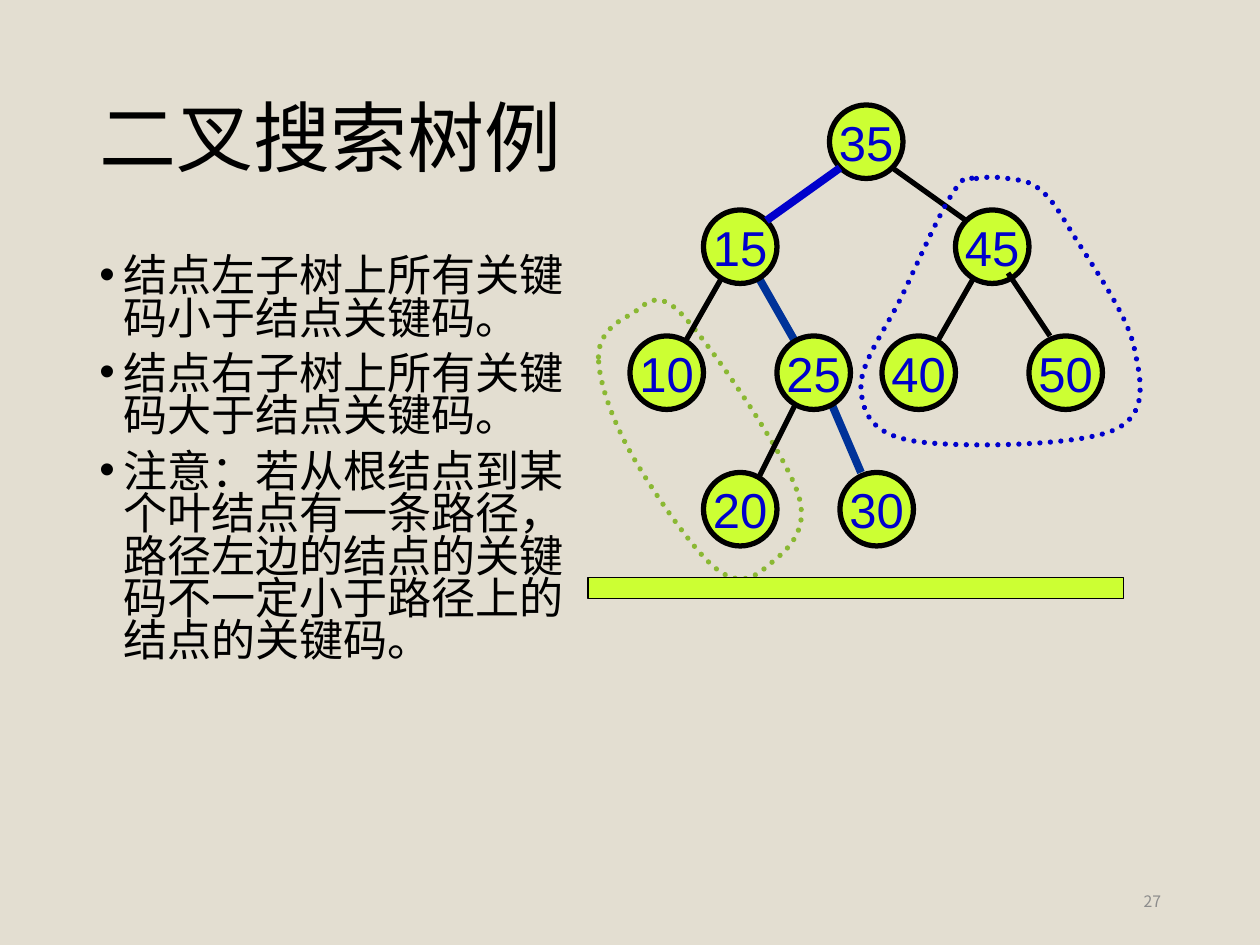
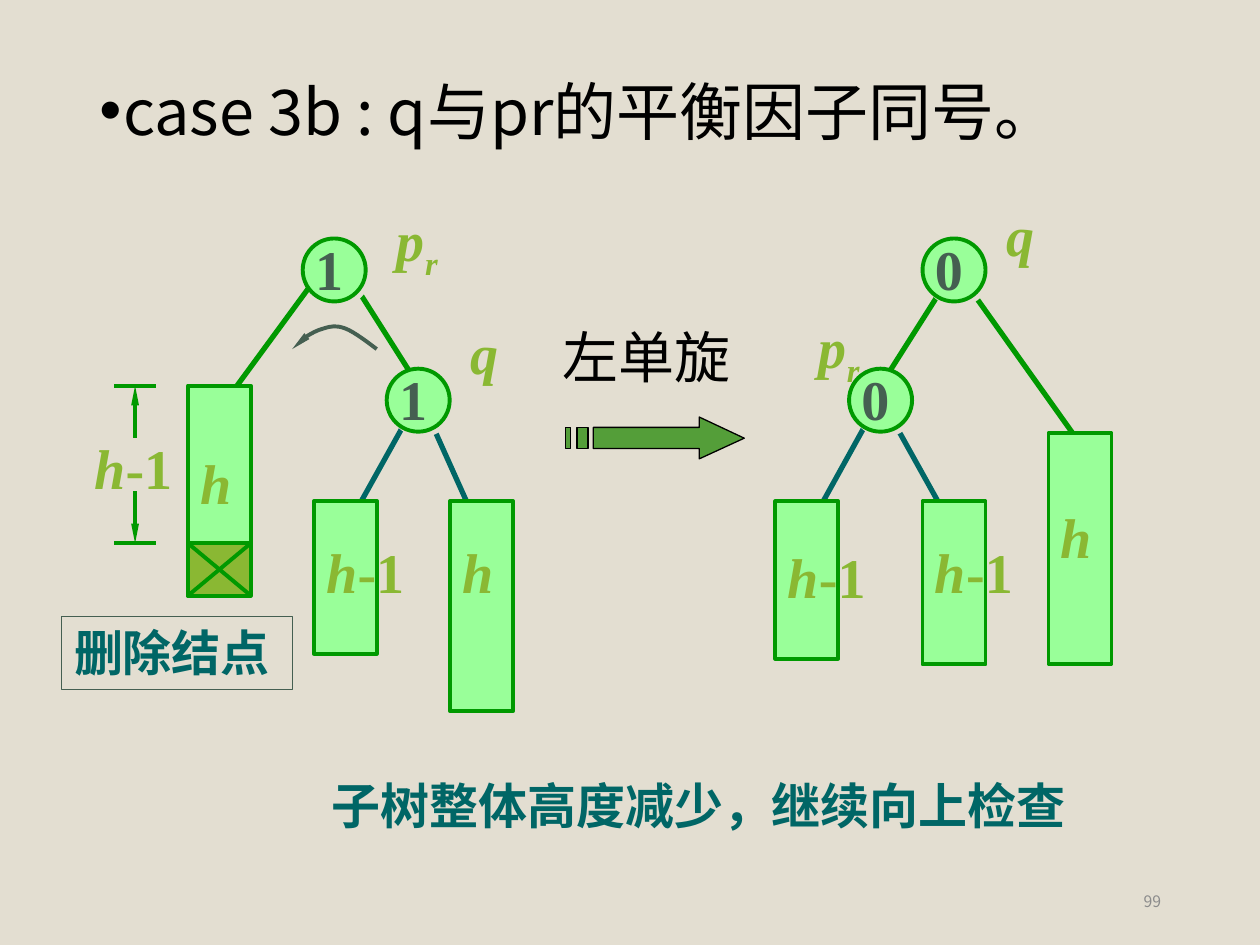
"""Builds two slides on binary search trees and an AVL single left rotation."""
from lxml import etree
from pptx import Presentation
from pptx.dml.color import RGBColor
from pptx.enum.dml import MSO_LINE
from pptx.enum.shapes import MSO_CONNECTOR, MSO_SHAPE
from pptx.enum.text import MSO_ANCHOR, MSO_AUTO_SIZE, PP_ALIGN
from pptx.oxml.ns import qn
from pptx.util import Pt

STRAIGHT = MSO_CONNECTOR.STRAIGHT
OVAL, RECT = MSO_SHAPE.OVAL, MSO_SHAPE.RECTANGLE
MIDDLE, TOP = MSO_ANCHOR.MIDDLE, MSO_ANCHOR.TOP
LEFT, CENTER, RIGHT = PP_ALIGN.LEFT, PP_ALIGN.CENTER, PP_ALIGN.RIGHT
NO_FIT, ROUND_DOT = MSO_AUTO_SIZE.NONE, MSO_LINE.ROUND_DOT

SANS, SERIF, ARIAL = "Noto Sans CJK SC", "Times New Roman", "Arial"
BACKGROUND, BLACK, GRAY = "E3DED1", "000000", "8C8C8C"
LIME, BLUE, NAVY, OLIVE = "CCFF33", "0000CC", "003399", "8AB833"
MINT, GREEN, TEAL, SLATE, LEAF = "99FF99", "009900", "006666", "455F51", "549E39"

MARGIN, CONTENT_WIDTH = 49.6, 621
SEARCH_TITLE = "二叉搜索树例"
SEARCH_RULES = [
    "结点左子树上所有关键码小于结点关键码。",
    "结点右子树上所有关键码大于结点关键码。",
    "注意：若从根结点到某个叶结点有一条路径，路径左边的结点的关键码不一定小于路径上的结点的关键码。",
]
KEY_SIZE = 42
KEYS = {
    "35": (474, 60), "15": (402, 120), "45": (546, 120),
    "50": (588, 192), "40": (504, 192), "25": (444, 192),
    "10": (360, 192), "20": (402, 270), "30": (480, 270),
}
EDGES_BEHIND = [
    ((558, 156), (534, 198), BLACK, 3), ((474, 228), (492, 270), NAVY, 4.5),
    ((456, 228), (432, 276), BLACK, 3), ((414, 156), (390, 198), BLACK, 3),
    ((432, 156), (456, 198), NAVY, 4.5),
]
EDGES_IN_FRONT = [
    ((480, 96), (438, 126), BLUE, 4.5), ((510, 96), (552, 126), BLACK, 3),
    ((576, 156), (600, 192), BLACK, 3),
]
LEFT_OF_PATH = [
    (342, 204), (342, 191), (352, 184), (360, 180), (368, 176), (374, 163),
    (390, 180), (406, 197), (448, 258), (456, 282), (464, 306), (446, 317),
    (438, 324), (430, 331), (421, 335), (408, 324), (395, 313), (371, 278),
    (360, 258), (349, 238), (342, 217), (342, 204),
]
RIGHT_OF_PATH = [
    (558, 102), (563, 101), (570, 101), (576, 102), (582, 103), (588, 103),
    (594, 108), (600, 113), (603, 117), (612, 132), (621, 147), (644, 179),
    (648, 198), (652, 217), (657, 237), (636, 246), (615, 255), (546, 256),
    (522, 252), (498, 248), (493, 236), (492, 222), (491, 208), (507, 187),
    (516, 168), (525, 149), (538, 119), (546, 108), (554, 97), (553, 103),
    (558, 102),
]

CASE = "case 3b : q与pr的平衡因子同号。"
CONCLUSION = "子树整体高度减少，继续向上检查"
UPRIGHT, ITALIC, SUBSCRIPT = "upright", "italic", "subscript"
H = 30, [("h", ITALIC)]
H_MINUS_1 = 60, [("h", ITALIC), ("-1", UPRIGHT)]
P_R = 47.5, [("p", ITALIC), ("r", SUBSCRIPT)]
Q = 37.5, [("q", ITALIC)]
BAR_WIDTH = BALANCE_SIZE = 36
BALANCES = [("1", 173, 136.3), ("1", 221, 210.7), ("0", 527.2, 136.3), ("0", 485.2, 210.7)]
SUBTREES = [
    (107.4, 220.4, 120, H, 252.8), (179.4, 286.4, 87.2, H_MINUS_1, 303.8),
    (257.2, 286.4, 120, H, 303.8), (443, 286.4, 90, H_MINUS_1, 306.7),
    (527.2, 286.4, 93.2, H_MINUS_1, 303.8), (599.2, 247.4, 132, H, 283.6),
]
NAMES = [(P_R, 219.8, 113.8), (Q, 262, 178.6), (P_R, 460.8, 174.8),
         (Q, 568, 110.9), (H_MINUS_1, 46.8, 244)]
ROTATION_EDGES = [
    ((245, 238.4), (269.2, 292.3), TEAL), ((233.2, 238.4), (203.2, 292.3), TEAL),
    ((497, 238.4), (467.2, 292.3), TEAL), ((509.2, 238.4), (539.2, 292.3), TEAL),
    ((197.2, 154.2), (239.2, 220.4), GREEN), ((179.4, 160.5), (131.2, 226.2), GREEN),
    ((545.2, 154.2), (503.2, 220.4), GREEN), ((551, 160.5), (617.2, 253.5), GREEN),
]
DELETED = (107.4, 310.4, BAR_WIDTH, 30)
HEIGHT_X, HEIGHT_TOP, HEIGHT_BOTTOM = 77.2, 220.4, 310.4
TURN = [
    (167, 199.5), (168, 197.5), (170, 195.8), (173, 193.7), (176, 191.5),
    (181.4, 188.6), (185, 187.7), (189.4, 186.3), (192.2, 185.8), (197.3, 187.7),
    (202.3, 189.4), (212.4, 197.3), (215.3, 199.5),
]
ROTATION_ARROW = [
    [(399.6, 238.3), (399.6, 244.2), (339.1, 244.2), (339.1, 256.3), (399.6, 256.3),
     (399.6, 262.2), (425.3, 250.4)],
    [(329.7, 244.2), (329.7, 256.3), (336.1, 256.3), (336.1, 244.2)],
    [(323.2, 244.2), (323.2, 256.3), (326.2, 256.3), (326.2, 244.2)],
]


def rgb(color):
    return RGBColor.from_string(color)


def points(*lengths):
    return [Pt(length) for length in lengths]


def style_run(run, size, color, font=SANS, bold=False):
    run.font.size, run.font.name, run.font.bold = Pt(size), font, bold
    run.font.color.rgb = rgb(color)
    east_asian = etree.SubElement(run.font._element, qn("a:ea"))
    east_asian.set("typeface", SANS)


def fill_text(shape, lines, size, color, font=SANS, bold=False, align=LEFT,
              anchor=TOP, wrap=True):
    frame = shape.text_frame
    frame.text = "\n".join(lines)
    frame.word_wrap, frame.auto_size = wrap, NO_FIT
    frame.vertical_anchor = anchor
    for paragraph in frame.paragraphs:
        paragraph.alignment = align
        for run in paragraph.runs:
            style_run(run, size, color, font, bold)
    return frame


def place(shape, *box):
    shape.left, shape.top, shape.width, shape.height = points(*box)


def add_text(slide, box, text, size, color, **options):
    textbox = slide.shapes.add_textbox(*points(*box))
    fill_text(textbox, [text], size, color, **options)


def add_name(slide, name, x, y):
    width, parts = name
    frame = slide.shapes.add_textbox(*points(x, y, width, 45.5)).text_frame
    frame.word_wrap = True
    for text, style in parts:
        run = frame.paragraphs[0].add_run()
        run.text = text
        style_run(run, 32, OLIVE, SERIF, True)
        run.font.italic = style != UPRIGHT
        if style == SUBSCRIPT:
            run.font._element.set("baseline", "-25000")


def paint(shape, fill, line, width):
    shape.shadow.inherit = False
    if fill:
        shape.fill.solid()
        shape.fill.fore_color.rgb = rgb(fill)
    else:
        shape.fill.background()
    shape.line.color.rgb = rgb(line)
    shape.line.width = Pt(width)
    return shape


def add_preset(slide, kind, box, fill, line, width):
    return paint(slide.shapes.add_shape(kind, *points(*box)), fill, line, width)


def add_tree_part(slide, kind, box, fill):
    part = add_preset(slide, kind, box, fill, GREEN, 2.25)
    effects = part._element.spPr.find(qn("a:effectLst"))
    shadow = etree.SubElement(effects, qn("a:outerShdw"), dist=str(Pt(2.8)),
                              dir="2700000", algn="ctr", rotWithShape="0")
    etree.SubElement(shadow, qn("a:srgbClr"), val=BACKGROUND)


def add_arrowhead(shape):
    outline = shape._element.spPr.find(qn("a:ln"))
    etree.SubElement(outline, qn("a:headEnd"), type="triangle", w="sm", len="lg")


def add_line(slide, start, end, color, width, arrow=False):
    line = slide.shapes.add_connector(STRAIGHT, *points(*start, *end))
    line.line.color.rgb = rgb(color)
    line.line.width = Pt(width)
    if arrow:
        add_arrowhead(line)
    etree.SubElement(line._element.spPr, qn("a:effectLst"))


def add_outline(slide, contours, fill, line, width, close=True):
    builder = None
    for contour in contours:
        start, *rest = [points(*point) for point in contour]
        if builder is None:
            builder = slide.shapes.build_freeform(*start, scale=1.0)
        else:
            builder.move_to(*start)
        builder.add_line_segments(rest, close=close)
    return paint(builder.convert_to_shape(), fill, line, width)


def add_curve(slide, controls, color, width, close):
    curve = add_outline(slide, [controls], None, color, width, close)
    segments = list(curve._element.spPr.iter(qn("a:lnTo")))[:len(controls) - 1]
    for first in range(0, len(segments), 3):
        bezier = etree.Element(qn("a:cubicBezTo"))
        segments[first].addprevious(bezier)
        for segment in segments[first:first + 3]:
            bezier.append(segment[0])
            segment.getparent().remove(segment)
    return curve


def add_dotted_loop(slide, controls, color):
    loop = add_curve(slide, controls, color, 3, close=True)
    loop.line.dash_style = ROUND_DOT
    loop._element.spPr.find(qn("a:ln")).set("cap", "rnd")


def fill_bullets(body, lines, size, spacing):
    frame = fill_text(body, lines, size, BLACK)
    for index, paragraph in enumerate(frame.paragraphs):
        paragraph.line_spacing = spacing
        paragraph.space_before = Pt(7.5 if index else 0)
        properties = paragraph._p.get_or_add_pPr()
        properties.set("marL", str(Pt(13.5)))
        properties.set("indent", str(-Pt(13.5)))


def add_slide(prs, number):
    slide = prs.slides.add_slide(prs.slide_layouts[1])
    add_text(slide, (508.5, 500.5, 162, 28.8), number, 9, GRAY, align=RIGHT, anchor=MIDDLE)
    return slide


def build_search_tree(prs):
    slide = add_slide(prs, "27")
    title, body = slide.placeholders
    place(title, MARGIN, 28.75, CONTENT_WIDTH, 104.4)
    heading = fill_text(title, [SEARCH_TITLE], 44, BLACK, anchor=MIDDLE)
    heading.paragraphs[0].line_spacing = 0.9
    place(body, MARGIN, 143.75, 281, 342.6)
    fill_bullets(body, SEARCH_RULES, 25.2, 0.8)

    add_dotted_loop(slide, LEFT_OF_PATH, OLIVE)
    for edge in EDGES_BEHIND:
        add_line(slide, *edge)
    for key, corner in KEYS.items():
        node = add_preset(slide, OVAL, (*corner, KEY_SIZE, KEY_SIZE), LIME, BLACK, 3)
        fill_text(node, [key], 28, BLUE, font=ARIAL, align=CENTER, anchor=MIDDLE, wrap=False)
    for edge in EDGES_IN_FRONT:
        add_line(slide, *edge)
    add_preset(slide, RECT, (336, 330, 306, 12), LIME, BLACK, 0.75)
    add_dotted_loop(slide, RIGHT_OF_PATH, BLUE)


def add_height_mark(slide):
    for end, inward in ((HEIGHT_TOP, 30), (HEIGHT_BOTTOM, -30)):
        add_line(slide, (HEIGHT_X - 12, end), (HEIGHT_X + 12, end), GREEN, 2.25)
        add_line(slide, (HEIGHT_X, end), (HEIGHT_X, end + inward), GREEN, 2.25, arrow=True)


def add_deleted_node(slide):
    x, y, width, height = DELETED
    add_tree_part(slide, RECT, DELETED, OLIVE)
    add_line(slide, (x, y), (x + width, y + height), GREEN, 2.25)
    add_line(slide, (x + width, y), (x, y + height), GREEN, 2.25)
    caption = add_preset(slide, RECT, (35.2, 352.2, 132, 41.8), None, SLATE, 0.75)
    fill_text(caption, ["删除结点"], 28, TEAL, bold=True)


def build_rotation(prs):
    slide = add_slide(prs, "99")
    title, body = slide.placeholders
    title._element.getparent().remove(title._element)
    place(body, MARGIN, 37.6, CONTENT_WIDTH, 74)
    fill_bullets(body, [CASE], 36, 1.0)

    for start, end, color in ROTATION_EDGES:
        add_line(slide, start, end, color, 3)
    for x, top, height, _, _ in SUBTREES:
        add_tree_part(slide, RECT, (x, top, BAR_WIDTH, height), MINT)
    add_deleted_node(slide)
    add_height_mark(slide)
    for factor, x, y in BALANCES:
        add_tree_part(slide, OVAL, (x, y, BALANCE_SIZE, BALANCE_SIZE), MINT)
        add_text(slide, (x, y - 6, 42, 45.5), factor, 32, SLATE, font=SERIF, bold=True)
    for x, _, _, name, name_top in SUBTREES:
        add_name(slide, name, x, name_top)
    for name in NAMES:
        add_name(slide, *name)

    add_arrowhead(add_curve(slide, TURN, SLATE, 2.25, close=False))
    add_outline(slide, ROTATION_ARROW, LEAF, BLACK, 0.75)
    add_text(slide, (314.6, 180.6, 110.4, 45.5), "左单旋", 32, BLACK, font=SERIF, wrap=False)
    add_text(slide, (182.4, 439.6, 455, 41), CONCLUSION, 28, TEAL, bold=True)


def main():
    prs = Presentation()
    prs.slide_width, prs.slide_height = points(720, 540)
    background = prs.slide_master.background.fill
    background.solid()
    background.fore_color.rgb = rgb(BACKGROUND)
    build_search_tree(prs)
    build_rotation(prs)
    prs.save("out.pptx")


if __name__ == "__main__":
    main()
